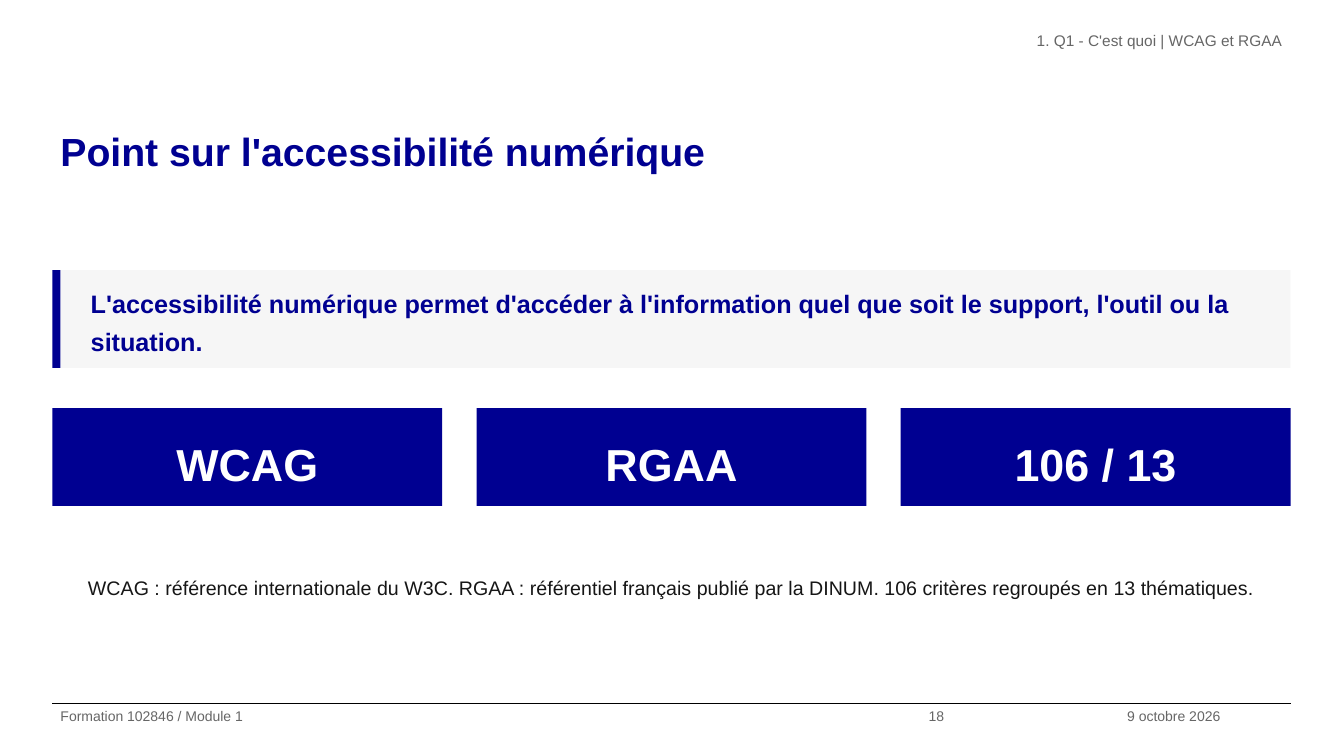
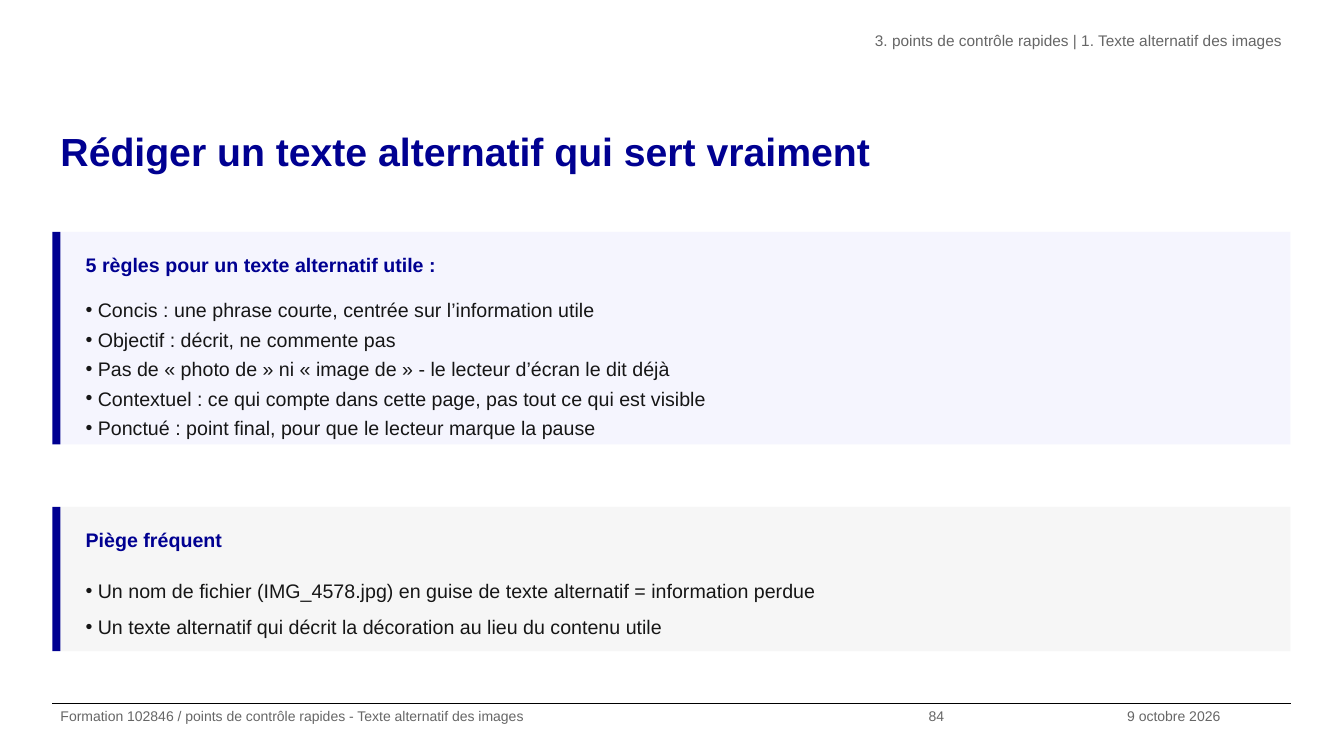
from dataclasses import dataclass

import pptx
import pptx.util
from lxml import etree
from pptx.dml.color import RGBColor
from pptx.enum.shapes import MSO_CONNECTOR, MSO_SHAPE
from pptx.enum.text import MSO_ANCHOR, MSO_AUTO_SIZE, PP_ALIGN
from pptx.oxml.ns import qn


@dataclass(frozen=True)
class Theme:
    font: str = "Arial"
    blue: str = "000091"
    text: str = "161616"
    muted: str = "666666"
    white: str = "FFFFFF"
    rule: str = "000000"
    grey_panel: str = "F6F6F6"
    blue_panel: str = "F5F5FE"
    title_size: int = 28
    figure_size: int = 32
    quote_size: int = 18
    body_size: int = 14
    header_size: int = 11
    footer_size: int = 10
    line_spacing: float = 1.25


@dataclass(frozen=True)
class Style:
    size: int
    color: str
    bold: bool = False
    align: PP_ALIGN = PP_ALIGN.LEFT
    anchor: MSO_ANCHOR = MSO_ANCHOR.TOP
    inset: float = 0.05
    line_spacing: float = Theme.line_spacing
    bullet: bool = False


THEME = Theme()
TITLE = Style(THEME.title_size, THEME.blue, bold=True, inset=0)
HEADER = Style(THEME.header_size, THEME.muted, align=PP_ALIGN.RIGHT, inset=0)
FOOTER = Style(THEME.footer_size, THEME.muted, inset=0)
QUOTE = Style(THEME.quote_size, THEME.blue, bold=True, anchor=MSO_ANCHOR.MIDDLE)
FIGURE = Style(THEME.figure_size, THEME.white, bold=True,
               align=PP_ALIGN.CENTER, anchor=MSO_ANCHOR.MIDDLE)
NOTE = Style(THEME.body_size, THEME.text, align=PP_ALIGN.CENTER)
HEADING = Style(THEME.body_size, THEME.blue, bold=True)
LIST = Style(THEME.body_size, THEME.text, bullet=True)
LOOSE_LIST = Style(THEME.body_size, THEME.text, bullet=True, line_spacing=1.5)

SLIDE_WIDTH, SLIDE_HEIGHT = 13.33, 7.5
LEFT, WIDTH = 0.52, 12.28
RIGHT = LEFT + WIDTH
FOOTER_TOP = 6.98
FOOTER_COLUMNS = (LEFT, 9.13, 11.1, RIGHT)
BAR = 0.08
PADDING = 0.1
SIDE_INSET = 0.08
BULLET_INDENT = 0.12
HEADING_HEIGHT = 0.35
ROW_HEIGHT = 0.97
GUTTER = 0.34
DATE = "9 octobre 2026"


def inches(*lengths):
    return [pptx.util.Inches(length) for length in lengths]


def set_bullet(paragraph, bullet):
    properties = paragraph._p.get_or_add_pPr()
    indent = pptx.util.Inches(BULLET_INDENT) if bullet else 0
    properties.set("marL", str(indent))
    properties.set("indent", str(-indent))
    if bullet:
        etree.SubElement(properties, qn("a:buChar")).set("char", "•")
    else:
        etree.SubElement(properties, qn("a:buNone"))


def write(shape, lines, style):
    frame = shape.text_frame
    frame.word_wrap = True
    frame.auto_size = MSO_AUTO_SIZE.NONE
    frame.vertical_anchor = style.anchor
    frame.margin_left = frame.margin_right = pptx.util.Inches(SIDE_INSET)
    frame.margin_top = frame.margin_bottom = pptx.util.Inches(style.inset)
    frame.text = "\n".join(lines)
    for paragraph in frame.paragraphs:
        set_bullet(paragraph, style.bullet)
        paragraph.alignment = style.align
        paragraph.line_spacing = style.line_spacing
        paragraph.space_before = paragraph.space_after = pptx.util.Pt(0)
        paragraph.font.name = THEME.font
        paragraph.font.size = pptx.util.Pt(style.size)
        paragraph.font.bold = style.bold
        paragraph.font.color.rgb = RGBColor.from_string(style.color)


def fill_placeholder(placeholder, box, lines, style):
    (placeholder.left, placeholder.top,
     placeholder.width, placeholder.height) = inches(*box)
    write(placeholder, lines, style)


def add_text(slide, box, text, style):
    write(slide.shapes.add_textbox(*inches(*box)), [text], style)


def add_rectangle(slide, box, color):
    shape = slide.shapes.add_shape(MSO_SHAPE.RECTANGLE, *inches(*box))
    shape.shadow.inherit = False
    shape.fill.solid()
    shape.fill.fore_color.rgb = RGBColor.from_string(color)
    shape.line.fill.background()
    return shape


def add_footer_rule(slide):
    rule = slide.shapes.add_connector(
        MSO_CONNECTOR.STRAIGHT, *inches(LEFT, FOOTER_TOP, RIGHT, FOOTER_TOP))
    rule.line.color.rgb = RGBColor.from_string(THEME.rule)
    rule.line.width = pptx.util.Pt(0.8)
    etree.SubElement(rule._element.spPr, qn("a:effectLst"))


def add_panel(slide, top, height, color):
    """Tinted band with a blue bar on its left edge."""
    add_rectangle(slide, (LEFT + BAR, top, WIDTH - BAR, height), color)
    add_rectangle(slide, (LEFT, top, BAR, height), THEME.blue)


def add_list_panel(slide, placeholder, top, height, color, heading, items, style):
    add_panel(slide, top, height, color)
    left = LEFT + 0.25
    width = RIGHT - PADDING - left
    add_text(slide, (left, top + PADDING, width, HEADING_HEIGHT), heading, HEADING)
    list_top = top + 2 * PADDING + HEADING_HEIGHT
    list_box = (left, list_top, width, top + height - PADDING - list_top)
    fill_placeholder(placeholder, list_box, items, style)
    slide.shapes._spTree.append(placeholder._element)


def add_figures(slide, top, figures):
    width = (WIDTH - GUTTER * (len(figures) - 1)) / len(figures)
    for column, figure in enumerate(figures):
        box = (LEFT + column * (width + GUTTER), top, width, ROW_HEIGHT)
        write(add_rectangle(slide, box, THEME.blue), [figure], FIGURE)


def add_page(presentation, title, header, footer, number, list_count=0):
    """Add a framed slide; return it with the placeholders kept for its lists."""
    layout = presentation.slide_layouts.get_by_name("Comparison")
    slide = presentation.slides.add_slide(layout)
    title_holder, header_holder, *bodies = slide.placeholders
    fill_placeholder(title_holder, (LEFT, 1.15, WIDTH, 1.05), [title], TITLE)
    fill_placeholder(header_holder, (4.83, 0.26, RIGHT - 4.83, 0.52), [header], HEADER)
    for unused in bodies[list_count:]:
        unused._element.getparent().remove(unused._element)
    add_footer_rule(slide)
    for text, left, right in zip((footer, number, DATE),
                                 FOOTER_COLUMNS, FOOTER_COLUMNS[1:]):
        box = (left, FOOTER_TOP, right - left, SLIDE_HEIGHT - FOOTER_TOP)
        add_text(slide, box, text, FOOTER)
    return slide, bodies[:list_count]


def add_accessibility_slide(presentation):
    slide, _ = add_page(
        presentation, "Point sur l'accessibilité numérique",
        "1. Q1 - C'est quoi | WCAG et RGAA", "Formation 102846 / Module 1", "18")
    top = 2.68
    add_panel(slide, top, ROW_HEIGHT, THEME.grey_panel)
    left = LEFT + 0.3
    add_text(slide, (left, top + PADDING, RIGHT - PADDING - left, ROW_HEIGHT - 2 * PADDING),
             "L'accessibilité numérique permet d'accéder à l'information "
             "quel que soit le support, l'outil ou la situation.", QUOTE)
    add_figures(slide, 4.05, ("WCAG", "RGAA", "106 / 13"))
    add_text(slide, (LEFT, 5.61, WIDTH, 0.6),
             "WCAG : référence internationale du W3C. RGAA : référentiel français "
             "publié par la DINUM. 106 critères regroupés en 13 thématiques.", NOTE)


def add_alternative_text_slide(presentation):
    slide, (rules, pitfalls) = add_page(
        presentation, "Rédiger un texte alternatif qui sert vraiment",
        "3. points de contrôle rapides | 1. Texte alternatif des images",
        "Formation 102846 / points de contrôle rapides - Texte alternatif des images",
        "84", list_count=2)
    add_list_panel(
        slide, rules, 2.3, 2.11, THEME.blue_panel,
        "5 règles pour un texte alternatif utile :",
        ["Concis : une phrase courte, centrée sur l’information utile",
         "Objectif : décrit, ne commente pas",
         "Pas de « photo de » ni « image de » - le lecteur d’écran le dit déjà",
         "Contextuel : ce qui compte dans cette page, pas tout ce qui est visible",
         "Ponctué : point final, pour que le lecteur marque la pause"], LIST)
    add_list_panel(
        slide, pitfalls, 5.03, 1.43, THEME.grey_panel, "Piège fréquent",
        ["Un nom de fichier (IMG_4578.jpg) en guise de texte alternatif = information perdue",
         "Un texte alternatif qui décrit la décoration au lieu du contenu utile"], LOOSE_LIST)


def main():
    presentation = pptx.Presentation()
    presentation.slide_width, presentation.slide_height = inches(SLIDE_WIDTH, SLIDE_HEIGHT)
    add_accessibility_slide(presentation)
    add_alternative_text_slide(presentation)
    presentation.save("out.pptx")


if __name__ == "__main__":
    main()
